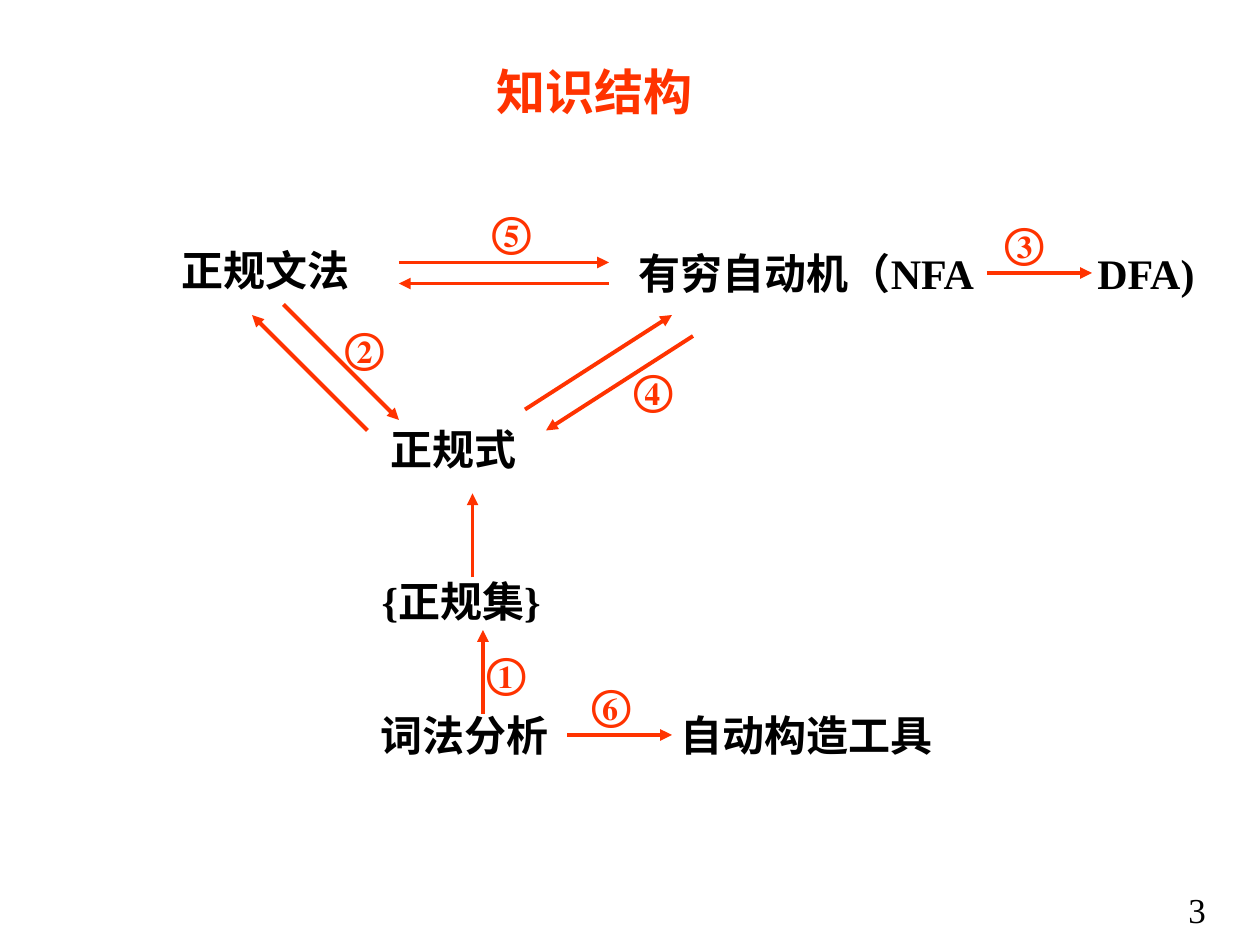
from lxml import etree
from pptx import Presentation
from pptx.dml.color import RGBColor
from pptx.enum import shapes, text
from pptx.oxml import ns
from pptx.util import Pt

FONT = "Times New Roman"
BLACK, ACCENT = "000000", "FF3300"
LABEL_HEIGHT = 36


def paint(color_format, hex_color):
    color_format.rgb = RGBColor.from_string(hex_color)


def add_label(parent, box, wording, size=24, color=BLACK, bold=True, tab=None):
    """Place a one-line label; tab is the stop for a gap inside the wording."""
    label = parent.add_textbox(*map(Pt, box))
    frame = label.text_frame
    frame.word_wrap = tab is not None
    frame.auto_size = text.MSO_AUTO_SIZE.SHAPE_TO_FIT_TEXT
    frame.text = wording
    paragraph = frame.paragraphs[0]
    if tab:
        stops = etree.SubElement(paragraph._p.get_or_add_pPr(), ns.qn("a:tabLst"))
        etree.SubElement(stops, ns.qn("a:tab"), pos=str(Pt(tab)), algn="l")
    for run in paragraph.runs:
        run.font.name, run.font.size, run.font.bold = FONT, Pt(size), bold
        paint(run.font.color, color)


def add_arrow(parent, x1, y1, x2, y2):
    arrow = parent.add_connector(
        shapes.MSO_CONNECTOR.STRAIGHT, Pt(x1), Pt(y1), Pt(x2), Pt(y2))
    arrow.line.width = Pt(2.25)
    paint(arrow.line.color, ACCENT)
    etree.SubElement(arrow.line._get_or_add_ln(), ns.qn("a:tailEnd"), type="triangle")
    etree.SubElement(arrow._element.spPr, ns.qn("a:effectLst"))


def add_relation(slide, left, top, number, number_at, arrows):
    """Group a circled number with its arrows, all offset from left and top."""
    relation = slide.shapes.add_group_shape().shapes
    for x1, y1, x2, y2 in arrows:
        add_arrow(relation, left + x1, top + y1, left + x2, top + y2)
    dx, dy = number_at
    add_label(relation, (left + dx, top + dy, 36.7, LABEL_HEIGHT), number, color=ACCENT)


def add_concepts(slide):
    concepts = [
        ("正规文法", 96.5, 136, 110.2),
        ("正规式", 216, 238.5, 86.4),
        ("{正规集}", 211, 325.5, 116.6),
        ("词法分析", 210.3, 401.8, 110.2),
        ("自动构造工具", 381.6, 401.8, 158.4),
    ]
    for wording, left, top, width in concepts:
        add_label(slide.shapes, (left, top, width, LABEL_HEIGHT), wording)
    add_label(slide.shapes, (358, 138, 337, LABEL_HEIGHT),
              "有穷自动机（NFA\tDFA)", tab=262)


def add_relations(slide):
    add_arrow(slide.shapes, 270, 330, 270, 282)
    short_arrow = [(0, 36, 60, 36)]
    add_relation(slide, 270, 360, "①", (1, 6), [(6, 48, 6, 0)])
    add_relation(slide, 144, 174, "②", (46, 6),
                 [(18, 0, 84, 66), (66, 72, 0, 6)])
    add_relation(slide, 564, 120, "③", (3, 0), short_arrow)
    add_relation(slide, 300, 180, "④", (55, 24),
                 [(0, 54, 84, 0), (96, 12, 12, 66)])
    add_relation(slide, 228, 114, "⑤", (46, 0),
                 [(0, 36, 120, 36), (120, 48, 0, 48)])
    add_relation(slide, 324, 384, "⑥", (7, 0), short_arrow)


def main():
    deck = Presentation()
    deck.slide_width, deck.slide_height = Pt(720), Pt(540)
    slide = deck.slides.add_slide(deck.slide_layouts[6])
    add_label(slide.shapes, (276.5, 31.7, 126, 41), "知识结构", size=28, color=ACCENT)
    add_concepts(slide)
    add_relations(slide)
    add_label(slide.shapes, (672, 504, 48, 31.7), "3", size=20, bold=False)
    deck.save("out.pptx")


if __name__ == "__main__":
    main()
